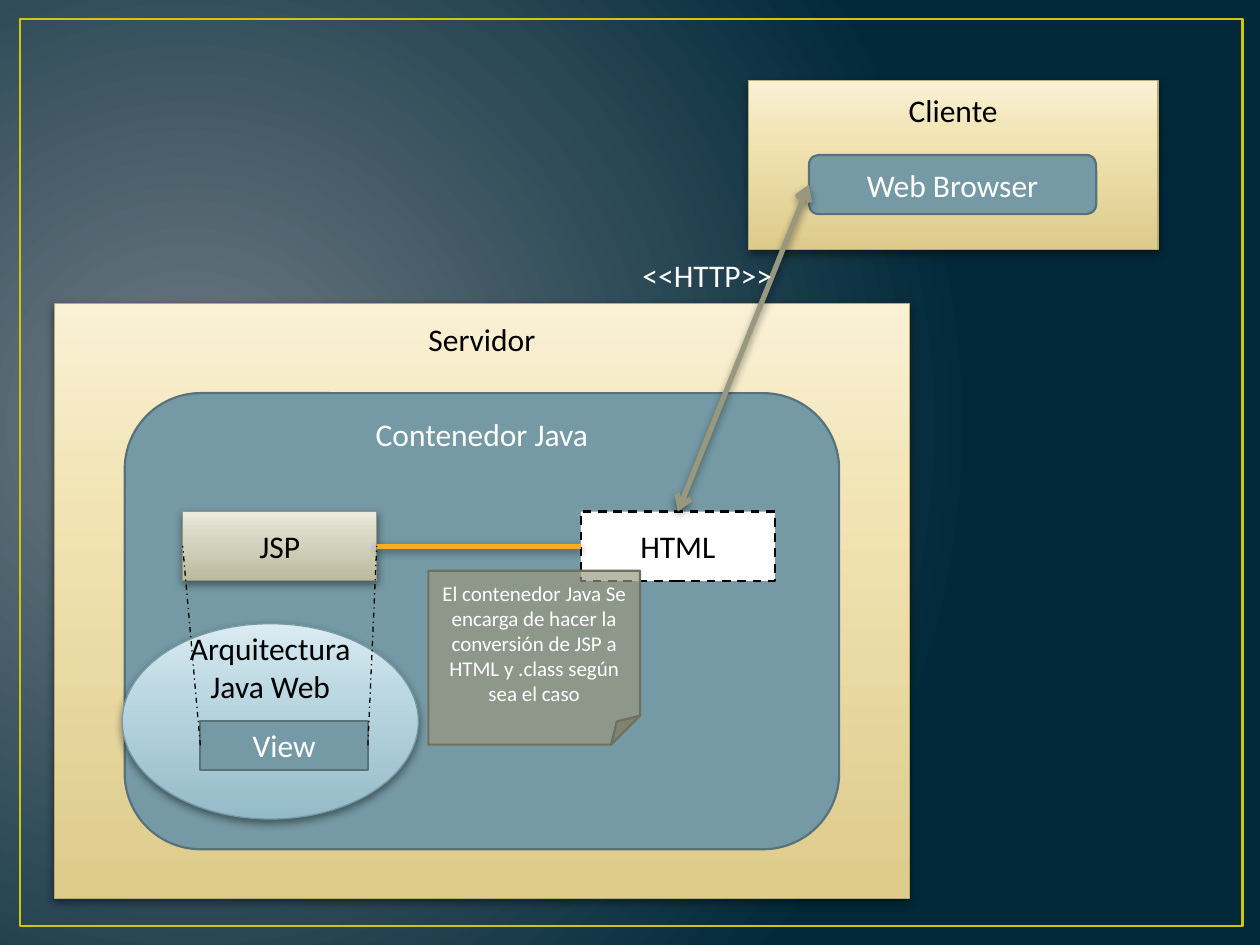
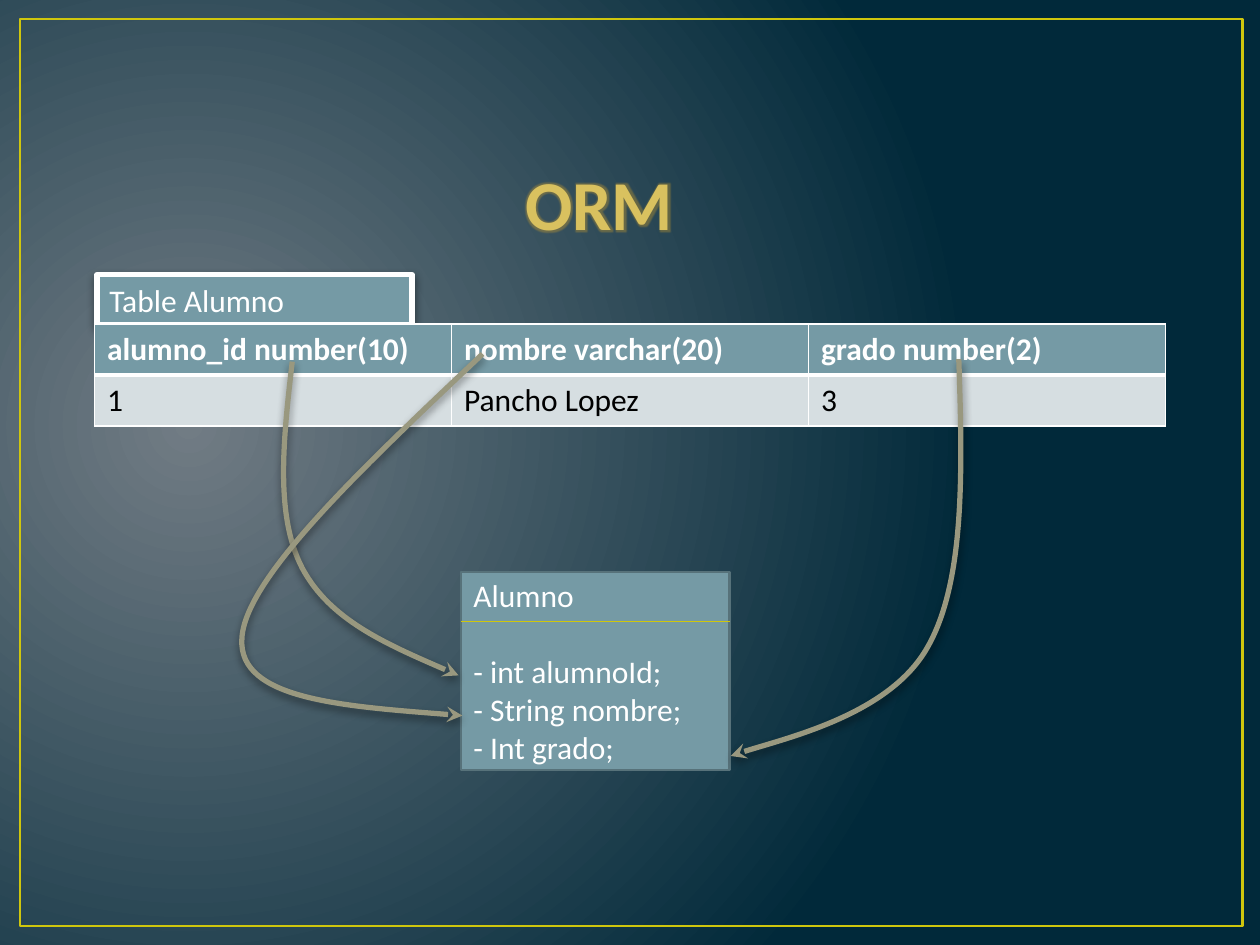
from dataclasses import dataclass

from lxml import etree
from pptx import Presentation
from pptx.dml.color import RGBColor
from pptx.enum.dml import MSO_LINE
from pptx.enum.shapes import MSO_CONNECTOR, MSO_SHAPE
from pptx.enum.text import MSO_ANCHOR, MSO_AUTO_SIZE, PP_ALIGN
from pptx.oxml import parse_xml
from pptx.oxml.ns import nsdecls, qn
from pptx.util import Inches, Pt

RECTANGLE, ROUNDED = MSO_SHAPE.RECTANGLE, MSO_SHAPE.ROUNDED_RECTANGLE
ELLIPSE, NOTE = MSO_SHAPE.OVAL, MSO_SHAPE.FOLDED_CORNER
STRAIGHT = MSO_CONNECTOR.STRAIGHT
DASH, DASH_DOT = MSO_LINE.DASH, MSO_LINE.DASH_DOT
TOP, MIDDLE = MSO_ANCHOR.TOP, MSO_ANCHOR.MIDDLE
LEFT, CENTER = PP_ALIGN.LEFT, PP_ALIGN.CENTER

FONT = "Calibri"
COLORS = {
    "frame": "CFC60D", "white": "FFFFFF", "black": "000000",
    "teal": "759AA5", "teal_edge": "57727A", "sand_edge": "B9AB6F",
    "taupe": "99987F", "taupe_edge": "71705E", "orange": "FFAD1C",
    "row": "D6DEE1", "title_edge": "645A30", "title_glow": "D9A52A",
}
# Gradient stops: position in percent, colour
GRADIENTS = {
    "background": [(0, "717C84"), (100, "01293A")],
    "sand": [(0, "DDCB8B"), (65, "F1E3B3"), (100, "F9F1D5")],
    "sky": [(0, "94BBC8"), (65, "BCD8E2"), (100, "DBEBF1")],
    "stone": [(0, "BBBA9F"), (65, "D8D7C4"), (100, "EBEBDF")],
    "title": [(0, "6E6025"), (78, "D9C15F"), (100, "FCF9F0")],
}

# The slide is a grid of 100 columns by 75 rows
SLIDE_WIDTH, SLIDE_HEIGHT = Inches(10), Inches(7.5)
COLUMN, ROW = SLIDE_WIDTH / 100, SLIDE_HEIGHT / 75


@dataclass
class Box:
    """An area of the slide, in columns and rows."""
    left: float
    top: float
    width: float
    height: float

    def inner(self, left, top, width, height):
        return Box(self.left + left, self.top + top, width, height)

    def point(self, across, down):
        return self.left + across * self.width, self.top + down * self.height

    def lengths(self):
        return (round(self.left * COLUMN), round(self.top * ROW),
                round(self.width * COLUMN), round(self.height * ROW))


def rgb(name):
    return RGBColor.from_string(COLORS[name])


def place(x, y):
    return round(x * COLUMN), round(y * ROW)


# ---- Shared formatting ----
def fill_gradient(fill, element, name, angle=None):
    """A linear gradient at an angle, or a round one without it."""
    fill.gradient()
    gradient = next(element.iter(qn("a:gradFill")))
    stops = "".join(f'<a:gs pos="{position * 1000}"><a:srgbClr val="{color}"/></a:gs>'
                    for position, color in GRADIENTS[name])
    direction = (f'<a:lin ang="{angle * 60000}" scaled="0"/>' if angle is not None else
                 '<a:path path="circle"><a:fillToRect l="15000" t="50000" '
                 'r="85000" b="60000"/></a:path>')
    gradient.getparent().replace(gradient, parse_xml(
        f'<a:gradFill {nsdecls("a")} rotWithShape="1"><a:gsLst>{stops}</a:gsLst>'
        f'{direction}</a:gradFill>'))


def set_line(line, color, width, dash=None):
    line.color.rgb = rgb(color)
    line.width = Pt(width)
    if dash:
        line.dash_style = dash


def set_shadow(shape, visible):
    effects = etree.SubElement(shape.element.spPr, qn("a:effectLst"))
    if visible:
        effects.append(parse_xml(
            f'<a:outerShdw {nsdecls("a")} blurRad="{Pt(5)}" dist="{Pt(2)}" dir="5400000" '
            f'rotWithShape="0"><a:srgbClr val="{COLORS["black"]}"><a:alpha val="43000"/>'
            '</a:srgbClr></a:outerShdw>'))


def add_arrowheads(shape, **heads):
    outline = shape.element.spPr.find(qn("a:ln"))
    for end, kind in heads.items():
        etree.SubElement(outline, qn(f"a:{end}End"), type=kind)


def add_run(paragraph, text, color="white", size=18, bold=False):
    run = paragraph.add_run()
    run.text = text
    run.font.name, run.font.size, run.font.bold = FONT, Pt(size), bold
    run.font.color.rgb = rgb(color)
    return run


def write(shape, text, color="white", size=18, align=CENTER, anchor=MIDDLE,
          margin_top=0.05, margin_bottom=0.05):
    frame = shape.text_frame
    frame.word_wrap = True
    frame.vertical_anchor = anchor
    frame.margin_top, frame.margin_bottom = Inches(margin_top), Inches(margin_bottom)
    paragraph = frame.paragraphs[0]
    paragraph.alignment = align
    add_run(paragraph, text, color, size)
    return frame


def add_block(shapes, kind, box, fill, edge, width=1.25, dash=None, shadow=False):
    """A preset shape with a plain or gradient fill, or none."""
    shape = shapes.add_shape(kind, *box.lengths())
    if fill is None:
        shape.fill.background()
    elif fill in GRADIENTS:
        fill_gradient(shape.fill, shape.element.spPr, fill, 270)
    else:
        shape.fill.solid()
        shape.fill.fore_color.rgb = rgb(fill)
    set_line(shape.line, edge, width, dash)
    set_shadow(shape, shadow)
    return shape


def add_line(shapes, start, end, color, width, dash=None, shadow=False):
    connector = shapes.add_connector(STRAIGHT, *place(*start), *place(*end))
    set_line(connector.line, color, width, dash)
    set_shadow(connector, shadow)
    return connector


def add_curve(shapes, points):
    """A curved arrow: a start, then groups of two controls and an end."""
    start, *others = [place(*point) for point in points]
    builder = shapes.build_freeform(*start, scale=1.0)
    builder.add_line_segments(others, close=False)
    curve = builder.convert_to_shape()
    segments = list(curve.element.iter(qn("a:lnTo")))
    for first in range(0, len(segments), 3):
        bezier = etree.Element(qn("a:cubicBezTo"))
        segments[first].addprevious(bezier)
        for segment in segments[first:first + 3]:
            bezier.append(segment[0])
            segment.getparent().remove(segment)
    curve.fill.background()
    set_line(curve.line, "taupe", 3)
    add_arrowheads(curve, tail="stealth")
    set_shadow(curve, True)


def dress_master(master, slide):
    """Background and thin frame shared by every slide."""
    fill_gradient(master.background.fill, master.element.cSld, "background")
    frame = add_block(slide.shapes, RECTANGLE, Box(1.6, 1.5, 97, 72), None, "frame", 1.5)
    master.element.cSld.spTree.append(frame.element)


# ---- Architecture slide ----
def add_panel(shapes, box, title, margin_top):
    panel = add_block(shapes, RECTANGLE, box, "sand", "sand_edge", 0.75, shadow=True)
    write(panel, title, "black", anchor=TOP, margin_top=margin_top)


def add_client(shapes, box):
    add_panel(shapes, box, "Cliente", 0.08)
    browser = box.inner(4.8, 5.9, 22.8, 4.7)
    write(add_block(shapes, ROUNDED, browser, "teal", "teal_edge"), "Web Browser")
    return browser


def add_container(shapes, box):
    container = add_block(shapes, ROUNDED, box, "teal", "teal_edge")
    write(container, "Contenedor Java", anchor=TOP, margin_top=0)

    # Web architecture with its view
    web = box.inner(-0.2, 18.3, 23.5, 15.5)
    ellipse = add_block(shapes, ELLIPSE, web, "sky", "teal", 0.75, shadow=True)
    write(ellipse, "Arquitectura Java Web", "black", margin_top=0, margin_bottom=0.86)
    view = web.inner(6.2, 7.7, 13.3, 3.9)
    write(add_block(shapes, RECTANGLE, view, "teal", "teal_edge"), "View")

    # JSP turned into HTML
    jsp, html = (box.inner(left, 9.4, 15.4, 5.5) for left in (4.6, 36.2))
    write(add_block(shapes, RECTANGLE, jsp, "stone", "taupe", 0.75, shadow=True),
          "JSP", "black")
    write(add_block(shapes, RECTANGLE, html, "white", "black", dash=DASH),
          "HTML", "black")
    add_line(shapes, jsp.point(1, 0.5), html.point(0, 0.5), "orange", 3, shadow=True)
    for side in (0, 1):
        add_line(shapes, view.point(side, 0.5), jsp.point(side, 0.5),
                 "black", 0.75, DASH_DOT)

    # Explanatory note
    note = add_block(shapes, NOTE, box.inner(24.1, 14.1, 16.8, 13.8), "taupe", "taupe_edge")
    fill_color = note.element.spPr.find(qn("a:solidFill"))[0]
    etree.SubElement(fill_color, qn("a:alpha"), val="67000")
    write(note, "El contenedor Java Se encarga de hacer la conversión de JSP a "
                "HTML y .class según sea el caso", size=12)
    return html


def add_server(shapes, box):
    add_panel(shapes, box, "Servidor", 0.13)
    return add_container(shapes, box.inner(5.6, 7.1, 56.7, 36.2))


def build_architecture(slide):
    shapes = slide.shapes
    browser = add_client(shapes, Box(59.4, 6.4, 32.5, 13.4))
    html = add_server(shapes, Box(4.3, 24.1, 67.9, 47.2))
    link = add_line(shapes, html.point(0.5, 0), browser.point(0, 0.5),
                    "taupe", 3, shadow=True)
    add_arrowheads(link, head="arrow", tail="arrow")
    protocol = shapes.add_textbox(*Box(50, 19.8, 16.5, 4).lengths())
    write(protocol, "<<HTTP>>", align=LEFT, anchor=TOP)


# ---- Mapping slide ----
def add_title(title, box, text):
    title.left, title.top, title.width, title.height = box.lengths()
    frame = title.text_frame
    frame.word_wrap = False
    frame.auto_size = MSO_AUTO_SIZE.SHAPE_TO_FIT_TEXT
    run = add_run(frame.paragraphs[0], text, size=40, bold=True)
    fill_gradient(run.font.fill, title.element, "title", 90)
    gradient = next(title.element.iter(qn("a:gradFill")))
    gradient.addprevious(parse_xml(
        f'<a:ln {nsdecls("a")} w="{Pt(0.15)}"><a:solidFill>'
        f'<a:srgbClr val="{COLORS["title_edge"]}"/></a:solidFill></a:ln>'))
    gradient.addnext(parse_xml(
        f'<a:effectLst {nsdecls("a")}><a:glow rad="{Pt(3.6)}">'
        f'<a:srgbClr val="{COLORS["title_glow"]}"><a:alpha val="35000"/></a:srgbClr>'
        '</a:glow></a:effectLst>'))


def add_borders(cell, bottom):
    properties = cell._tc.get_or_add_tcPr()
    for side, width in (("L", 1), ("R", 1), ("T", 1), ("B", bottom)):
        properties.append(parse_xml(
            f'<a:ln{side} {nsdecls("a")} w="{Pt(width)}"><a:solidFill>'
            f'<a:srgbClr val="{COLORS["white"]}"/></a:solidFill></a:ln{side}>'))


def add_student_table(shapes, box):
    label = add_block(shapes, RECTANGLE, box.inner(0.2, -3.9, 25, 4), "teal", "white", 3,
                      shadow=True)
    write(label, "Table Alumno", align=LEFT, anchor=TOP)
    rows = [("alumno_id number(10)", "nombre varchar(20)", "grado number(2)"),
            ("1", "Pancho Lopez", "3")]
    table = shapes.add_table(len(rows), len(rows[0]), *box.lengths()).table
    table.horz_banding = False
    for row, values in enumerate(rows):
        header = row == 0
        for column, value in enumerate(values):
            cell = table.cell(row, column)
            add_borders(cell, 3 if header else 1)
            cell.fill.solid()
            cell.fill.fore_color.rgb = rgb("teal" if header else "row")
            add_run(cell.text_frame.paragraphs[0], value,
                    "white" if header else "black", bold=header)


def add_class(shapes, box):
    group = shapes.add_group_shape().shapes
    body = add_block(group, RECTANGLE, box, "teal", "teal_edge")
    frame = write(body, "Alumno", align=LEFT)
    for number, field in enumerate(("int alumnoId;", "String nombre;", "Int grado;")):
        paragraph = frame.add_paragraph()
        paragraph.alignment = LEFT
        paragraph.space_before = Pt(0 if number else 22)
        add_run(paragraph, f"- {field}")
    add_line(group, box.point(0, 0.25), box.point(1, 0.25), "frame", 0.75)


def build_mapping(slide):
    shapes = slide.shapes
    add_title(shapes.title, Box(40.6, 12.2, 13.9, 7.7), "ORM")
    add_student_table(shapes, Box(7.5, 25.7, 85, 8.1))
    add_class(shapes, Box(36.6, 45.4, 21.3, 15.7))
    # Each table column leads to its field
    for points in (
        [(23.2, 28.7), (22.5, 34.8), (21.8, 40.9), (24, 45.1),
         (26.2, 49.2), (31.3, 51.4), (36.4, 53.6)],
        [(38.3, 28.1), (28.9, 37), (19.4, 45.9), (19.2, 50.7),
         (18.9, 55.5), (27.8, 56.1), (36.7, 56.8)],
        [(76.1, 28.5), (76.4, 37.3), (76.6, 46.2), (73.6, 51.4),
         (70.6, 56.7), (60.4, 59.1), (58, 60)],
    ):
        add_curve(shapes, points)


presentation = Presentation()
presentation.slide_width, presentation.slide_height = SLIDE_WIDTH, SLIDE_HEIGHT
TITLE_ONLY, BLANK = presentation.slide_layouts[5], presentation.slide_layouts[6]
architecture = presentation.slides.add_slide(BLANK)
dress_master(presentation.slide_master, architecture)
build_architecture(architecture)
build_mapping(presentation.slides.add_slide(TITLE_ONLY))
presentation.save("out.pptx")
